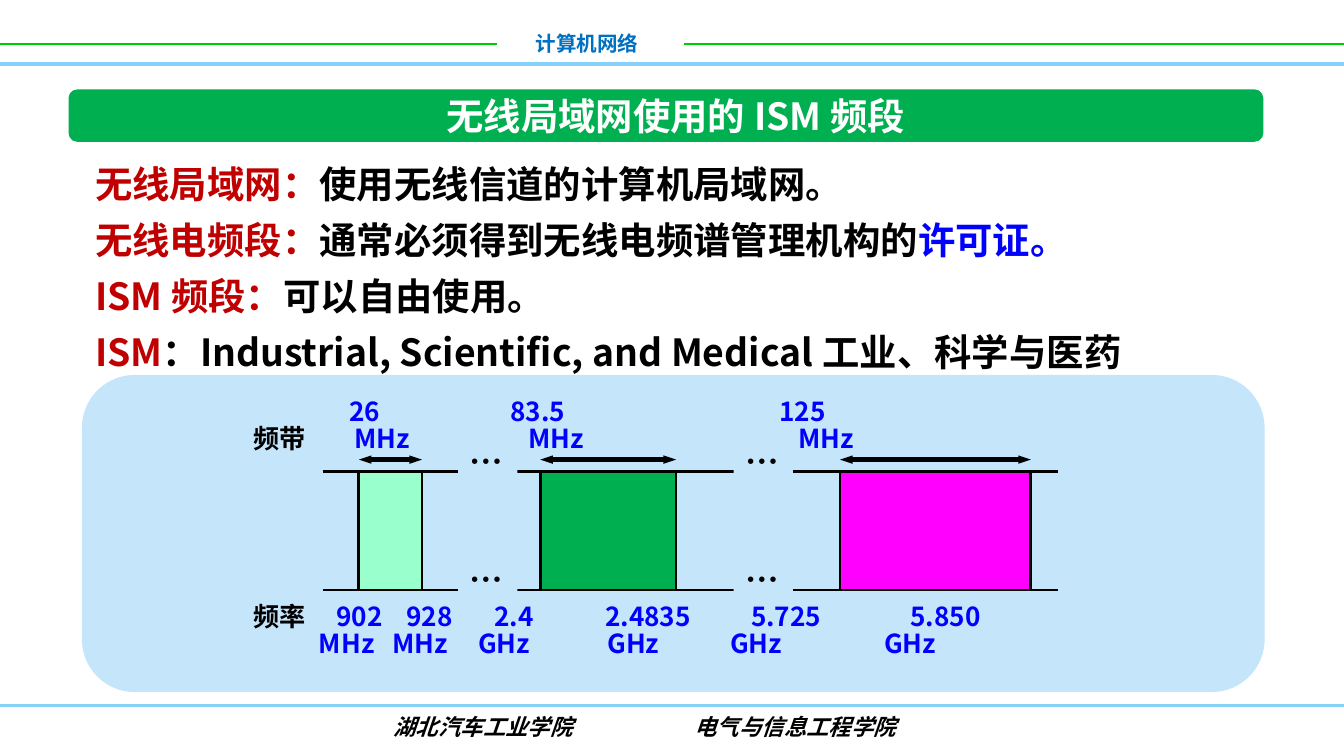
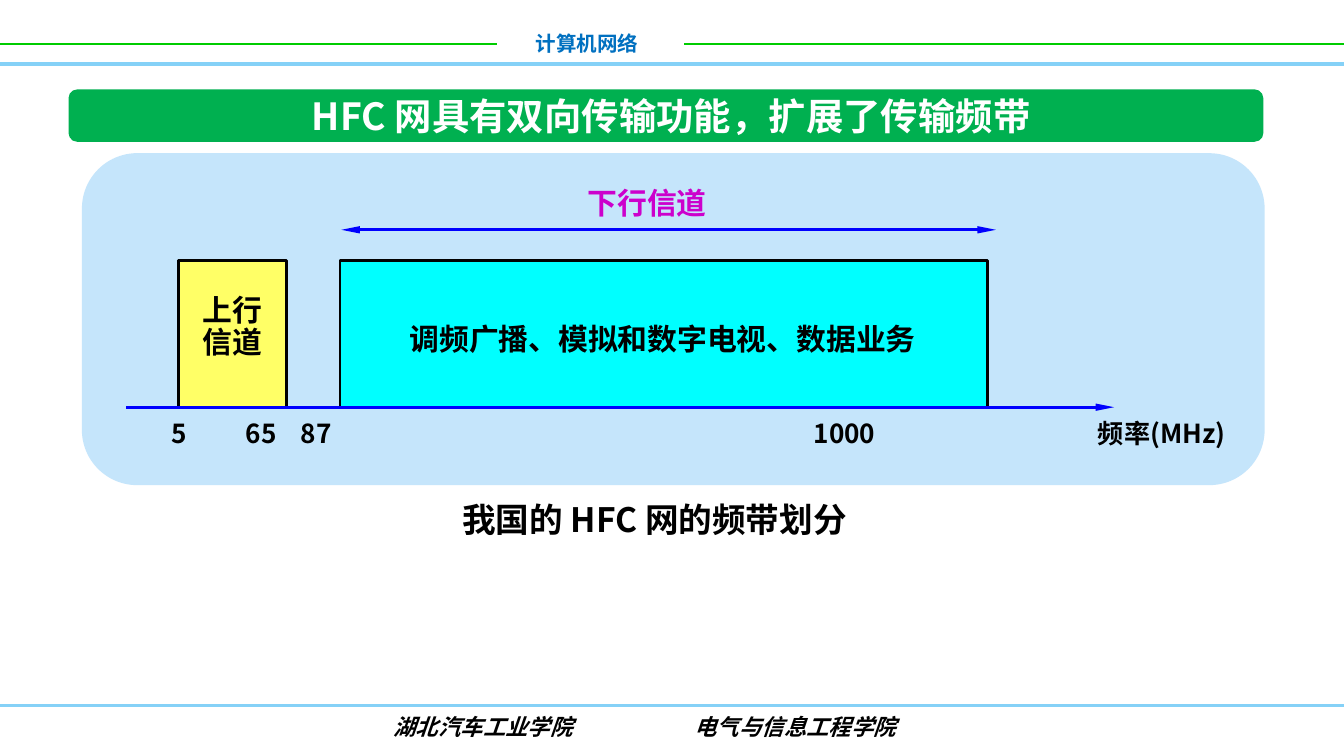
from lxml.etree import SubElement
from pptx import Presentation
from pptx.dml.color import RGBColor
from pptx.enum.shapes import MSO_CONNECTOR, MSO_SHAPE
from pptx.enum.text import MSO_ANCHOR, PP_ALIGN
from pptx.oxml.ns import qn
from pptx.util import Inches, Pt

HUES = {
    "white": "FFFFFF", "black": "000000", "lime": "00CC00", "sky": "85D1F7",
    "pale": "C5E5FB", "green": "00B050", "navy": "0070C0", "red": "C00000",
    "blue": "0000FF", "mint": "99FFCC", "pink": "FF00FF", "plum": "CC00CC",
    "lemon": "FFFF66", "cyan": "00FFFF",
}
FACE = "Noto Sans CJK SC"
CELL = Inches(0.1)
PAGE = (0, 0, 100, 56.25)
BAR = (5.1, 6.65, 88.9, 3.9)
MID = {"alignment": PP_ALIGN.CENTER}
TIGHT = {"line_spacing": 0.85}


def hue(name):
    return RGBColor.from_string(HUES[name])


def cells(*counts):
    return [round(n * CELL) for n in counts]


def within(box, x, y, w, h):
    return box[0] + x, box[1] + y, w, h


def apply(item, form):
    for key, val in form.items():
        setattr(item, key, val)


def write(frame, rows, size, color="black", para=None, face=FACE, tabs=(), slant=None):
    for i, row in enumerate(rows):
        p = frame.paragraphs[0] if i == 0 else frame.add_paragraph()
        if tabs:
            stops = SubElement(p._p.get_or_add_pPr(), qn("a:tabLst"))
            for stop in tabs[i]:
                SubElement(stops, qn("a:tab"), pos=str(cells(stop)[0]), algn="l")
        apply(p, para or {})
        for part in [(row, color)] if isinstance(row, str) else row:
            run = p.add_run()
            run.text = part[0]
            apply(run.font, {"name": face, "size": Pt(size), "bold": True, "italic": slant})
            run.font.color.rgb = hue(part[1])
            SubElement(run._r.get_or_add_rPr(), qn("a:ea"), typeface=FACE)


def label(slide, box, rows, size, color="black", wrap=True, anchor=MSO_ANCHOR.TOP, **form):
    frame = slide.shapes.add_textbox(*cells(*box)).text_frame
    apply(frame, {"word_wrap": wrap, "vertical_anchor": anchor})
    write(frame, rows, size, color, **form)


def block(slide, box, fill, edge=None, kind=MSO_SHAPE.RECTANGLE):
    shape = slide.shapes.add_shape(kind, *cells(*box))
    shape.shadow.inherit = False
    shape.fill.solid()
    shape.fill.fore_color.rgb = hue(fill)
    if edge:
        shape.line.color.rgb = hue(edge)
        shape.line.width = Pt(1.5)
    else:
        shape.line.fill.background()
    return shape


def rule(slide, box, x, y, w, color, width=1.5, ends=(), reach="lg"):
    left, top, span, _ = within(box, x, y, w, 0)
    line = slide.shapes.add_connector(
        MSO_CONNECTOR.STRAIGHT, *cells(left, top, left + span, top))
    line.line.color.rgb = hue(color)
    line.line.width = Pt(width)
    props = line._element.spPr
    for end in ends:
        SubElement(props.find(qn("a:ln")), qn("a:" + end), type="triangle", w="sm", len=reach)
    SubElement(props, qn("a:effectLst"))


def head(slide, box):
    for x, y, w, color, width in [
        (0, 3.3, 37, "lime", 1), (50.9, 3.3, 49.1, "lime", 1), (0, 4.75, 100, "sky", 2),
    ]:
        rule(slide, box, x, y, w, color, width)
    label(slide, within(box, 38.8, 1.8, 9.7, 2.9), ["计算机网络"], 11, "navy",
          wrap=False, para={"alignment": PP_ALIGN.RIGHT})


def foot(slide, box):
    rule(slide, box, 0, 52.5, 100, "sky")
    label(slide, within(box, 10.2, 52.6, 75.6, 3), ["\t湖北汽车工业学院\t电气与信息工程学院"],
          12, face="Arial", slant=True, tabs=[(18.1, 40.5)])


def start(deck, text):
    slide = deck.slides.add_slide(deck.slide_layouts[5])
    head(slide, PAGE)
    foot(slide, PAGE)
    block(slide, BAR, "green", kind=MSO_SHAPE.ROUNDED_RECTANGLE)
    title = slide.shapes.title
    spot = cells(*within(BAR, 8.6, 0, 72.5, 3.9))
    apply(title, dict(zip(("left", "top", "width", "height"), spot)))
    apply(title.text_frame, {"vertical_anchor": MSO_ANCHOR.MIDDLE, "word_wrap": True})
    write(title.text_frame, [text], 20, "white", MID)
    slide.shapes.element.append(title.element)
    return slide


def terms(slide, box):
    rows = [
        [("无线局域网：", "red"), ("使用无线信道的计算机局域网。", "black")],
        [("无线电频段：", "red"), ("通常必须得到无线电频谱管理机构的", "black"),
         ("许可证。", "blue")],
        [("ISM 频段：", "red"), ("可以自由使用。", "black")],
        [("ISM", "red"),
         ("：Industrial, Scientific, and Medical 工业、科学与医药", "black")],
    ]
    label(slide, box, rows, 20, para={"line_spacing": Pt(30)})


def bands(slide, box):
    top, tall = 5.8, 8.8
    label(slide, within(box, 0, 0, 61.8, 5),
          ["\t26\t83.5\t125", [("频带", "black"), ("\tMHz\tMHz\tMHz", "blue")]],
          14, "blue", para=TIGHT, tabs=[(7.1, 19.1, 39.1), (7.5, 20.4, 40.5)])
    label(slide, within(box, 0, 15.25, 63.7, 5),
          [[("频率", "black"), ("\t902\t928\t2.4\t2.4835\t5.725\t5.850", "blue")],
           "\tMHz\tMHz\tGHz\tGHz\tGHz\tGHz"],
          14, "blue", para=TIGHT,
          tabs=[(6.15, 11.35, 17.9, 26.15, 37, 48.85), (4.85, 10.3, 16.7, 26.3, 35.45, 46.9)])
    for y in (top, top + tall):
        rule(slide, box, 6.1, y, 54.7, "black")
    for x, w, fill in [(8.8, 4.7, "mint"), (22.3, 10.1, "green"), (44.6, 14.2, "pink")]:
        block(slide, within(box, x, top, w, tall), fill, "black")
        rule(slide, box, x, top - 0.9, w, "black", 2.25, ("headEnd", "tailEnd"), "med")
    for x in (16.2, 36.7):
        for y in (top + tall, top):
            block(slide, within(box, x, y - 0.8, 4.4, 1.7), "pale")
            label(slide, within(box, x - 0.15, y - 2.8, 4.5, 4), ["…"], 18, wrap=False)


def split(slide, box):
    top, tall = 8, 10.9
    base = top + tall
    rule(slide, box, 19.3, 5.7, 48.7, "blue", ends=("headEnd", "tailEnd"))
    label(slide, within(box, 36, 1.7, 12.1, 4), ["下行信道"], 16, "plum",
          anchor=MSO_ANCHOR.MIDDLE, para=MID)
    block(slide, within(box, 7.2, top, 8, tall), "lemon", "black")
    label(slide, within(box, 8, 10.1, 7.5, 5.9), ["上行", "信道"], 16,
          para={"line_spacing": 0.9})
    label(slide, within(box, 5.65, base + 0.25, 67.9, 3.4), ["5\t65\t87\t1000"], 14,
          tabs=[(5.55, 9.65, 47.8)])
    block(slide, within(box, 19.2, top, 48.2, tall), "cyan", "black")
    label(slide, within(box, 23.4, 12, 40.2, 3.7),
          ["调频广播、模拟和数字电视、数据业务"], 16, wrap=False)
    label(slide, within(box, 74.6, base + 0.25, 12.1, 3.4), ["频率(MHz)"], 14, wrap=False)
    rule(slide, box, 3.3, base, 73.5, "blue", ends=("tailEnd",))


def panel(slide, box):
    block(slide, box, "pale", kind=MSO_SHAPE.ROUNDED_RECTANGLE)


def radio(deck):
    slide = start(deck, " 无线局域网使用的 ISM 频段")
    box = (6.1, 27.9, 88, 23.6)
    panel(slide, box)
    terms(slide, within(PAGE, 6.1, 10.7, 88, 17.8))
    bands(slide, within(box, 11.8, 1.4, 63.7, 20.2))


def cable(deck):
    slide = start(deck, "HFC 网具有双向传输功能，扩展了传输频带")
    box = (6.1, 11.4, 88, 24.7)
    panel(slide, box)
    split(slide, box)
    label(slide, within(PAGE, 32, 36.6, 33.4, 4), ["我国的 HFC 网的频带划分"], 18, para=MID)


def main():
    deck = Presentation()
    deck.slide_width, deck.slide_height = cells(*PAGE[2:])
    radio(deck)
    cable(deck)
    deck.save("out.pptx")


if __name__ == "__main__":
    main()
